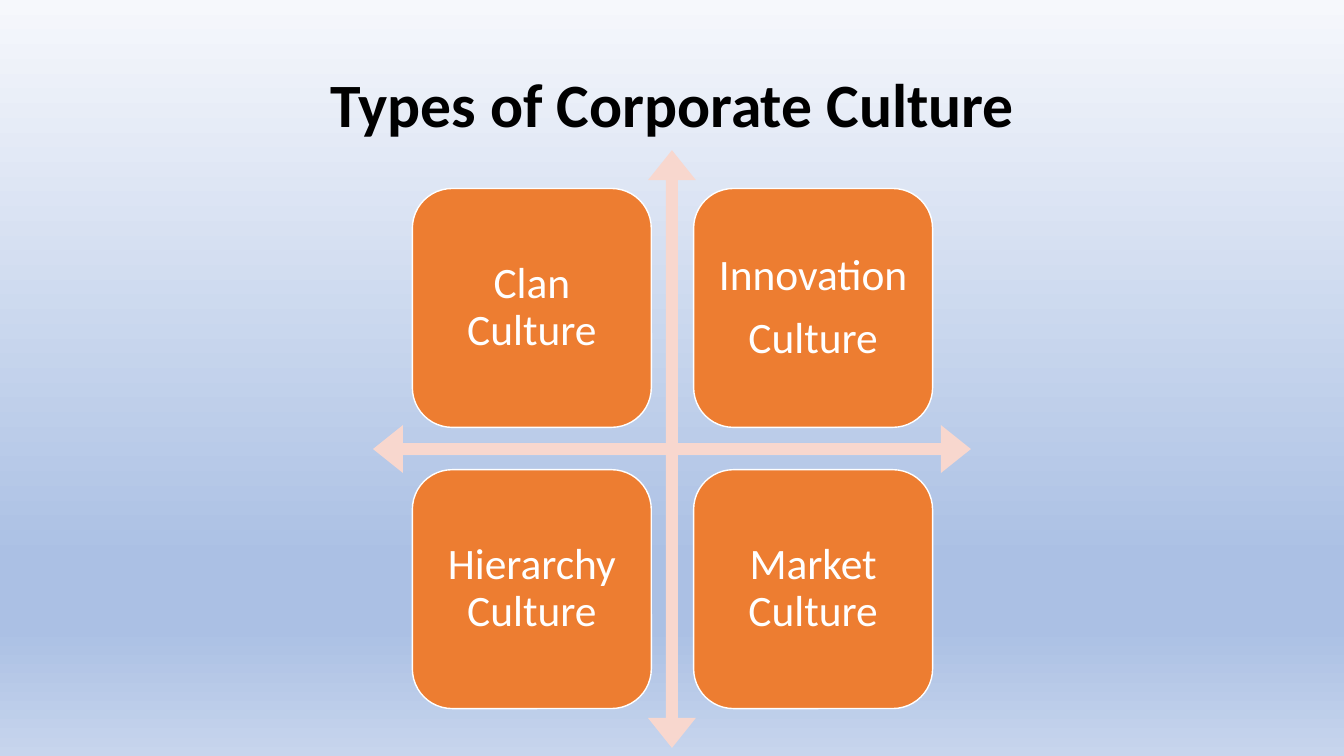
from lxml import etree
from pptx import Presentation
from pptx.dml.color import RGBColor
from pptx.enum.shapes import MSO_SHAPE
from pptx.enum.text import MSO_ANCHOR, PP_ALIGN
from pptx.oxml.ns import qn
from pptx.util import Inches, Pt

ROUND = MSO_SHAPE.ROUNDED_RECTANGLE
CROSS = MSO_SHAPE.QUAD_ARROW
MIDDLE = MSO_ANCHOR.MIDDLE
BOTTOM = MSO_ANCHOR.BOTTOM
CENTER = PP_ALIGN.CENTER

BLACK = RGBColor(0x00, 0x00, 0x00)
WHITE = RGBColor(0xFF, 0xFF, 0xFF)
ORANGE = RGBColor(0xED, 0x7D, 0x31)
PEACH = RGBColor(0xF8, 0xD7, 0xCE)
PALE = RGBColor(0xF6, 0xF8, 0xFC)
BLUE = RGBColor(0xAB, 0xC0, 0xE4)
MIST = RGBColor(0xC7, 0xD5, 0xED)


class Deck:
    font = "Calibri"
    lead = 0.9

    def __init__(self, wide, high):
        self.prs = Presentation()
        self.prs.slide_width = Inches(wide)
        self.prs.slide_height = Inches(high)
        self.slide = self.prs.slides.add_slide(self.prs.slide_layouts[6])

    def back(self, stops):
        """Fill the background from top to bottom with (percent, colour) stops."""
        fill = self.slide.background.fill
        fill.gradient()
        fill.gradient_angle = 270
        tree = self.slide.element.find(".//" + qn("a:gsLst"))
        for old in list(tree):
            tree.remove(old)
        for place, color in stops:
            stop = etree.SubElement(tree, qn("a:gs"), pos=str(place * 1000))
            etree.SubElement(stop, qn("a:srgbClr"), val=str(color))

    def text(self, shape, lines, size, color, anchor, inset, after=0, bold=False):
        frame = shape.text_frame
        frame.word_wrap = True
        frame.vertical_anchor = anchor
        frame.margin_left = frame.margin_right = Inches(inset[0])
        frame.margin_top = frame.margin_bottom = Inches(inset[1])
        for num, line in enumerate(lines):
            para = frame.add_paragraph() if num else frame.paragraphs[0]
            para.alignment = CENTER
            para.line_spacing = self.lead
            para.space_after = Pt(after)
            run = para.add_run()
            run.text = line
            run.font.name = self.font
            run.font.size = Pt(size)
            run.font.bold = bold
            run.font.color.rgb = color

    def title(self, words, left, top, wide, high):
        box = self.slide.shapes.add_textbox(
            Inches(left), Inches(top), Inches(wide), Inches(high))
        self.text(box, [words], 44, BLACK, BOTTOM, (0.1, 0.05), bold=True)

    def shape(self, kind, left, top, side, fill):
        shape = self.slide.shapes.add_shape(
            kind, Inches(left), Inches(top), Inches(side), Inches(side))
        shape.shadow.inherit = False
        shape.fill.solid()
        shape.fill.fore_color.rgb = fill
        return shape

    def cross(self, left, top, side):
        cross = self.shape(CROSS, left, top, side, PEACH)
        cross.line.fill.background()
        for num, value in enumerate((0.02, 0.04, 0.05)):
            cross.adjustments[num] = value

    def card(self, lines, left, top, side):
        card = self.shape(ROUND, left, top, side, ORANGE)
        card.line.color.rgb = WHITE
        card.line.width = Pt(1)
        self.text(card, lines, 31, WHITE, MIDDLE, (0.13, 0.13), after=11)


def main():
    deck = Deck(13.33, 7.5)
    deck.back([(0, PALE), (74, BLUE), (83, BLUE), (100, MIST)])
    deck.title("Types of Corporate Culture", 1.67, 0.53, 10, 0.92)

    # Axes behind the cards
    deck.cross(3.7, 1.49, 5.93)

    # Two by two grid of cultures
    side, gap = 2.37, 0.42
    step = side + gap
    grid = [
        [["Clan Culture"], ["Innovation", "Culture"]],
        [["Hierarchy Culture"], ["Market Culture"]],
    ]
    for row, cards in enumerate(grid):
        for col, lines in enumerate(cards):
            deck.card(lines, 4.09 + col * step, 1.87 + row * step, side)

    deck.prs.save("out.pptx")


if __name__ == "__main__":
    main()
